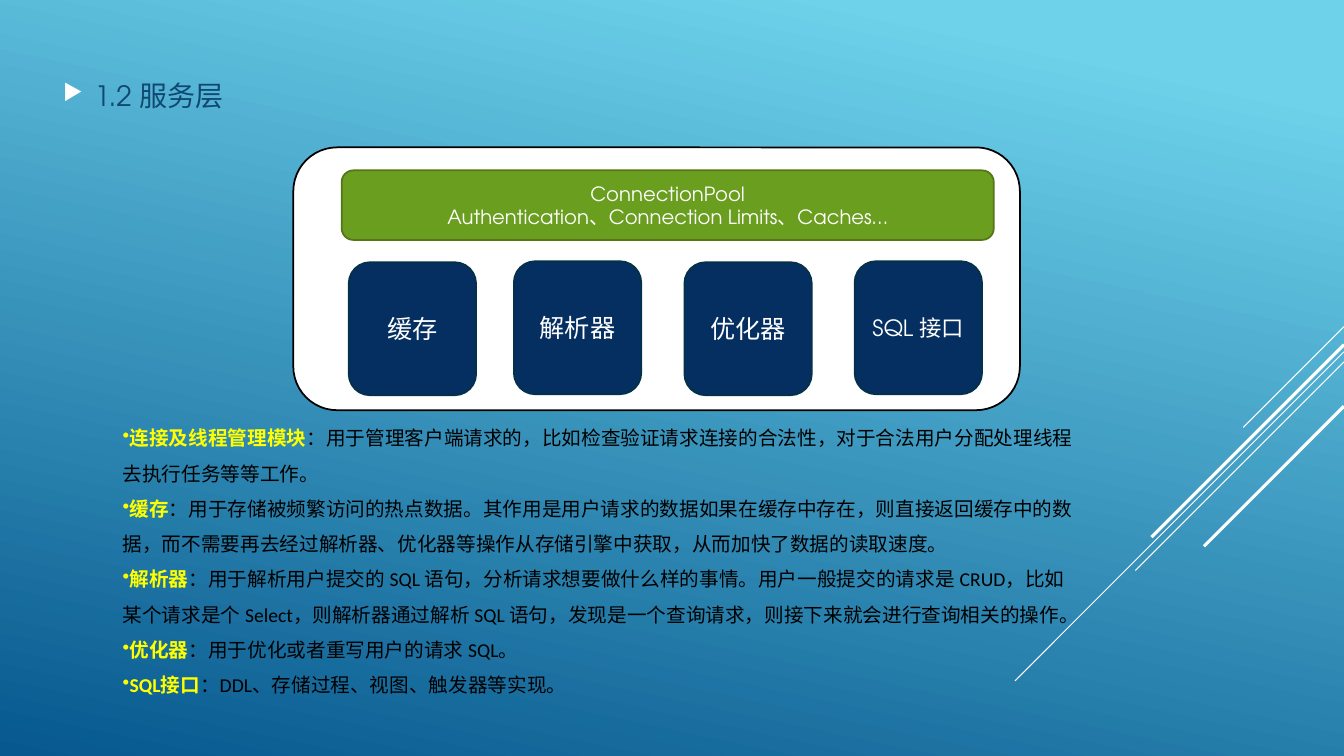
from lxml.etree import SubElement
from pptx import Presentation
from pptx.dml.color import RGBColor
from pptx.enum.shapes import MSO_CONNECTOR, MSO_SHAPE
from pptx.enum.text import MSO_ANCHOR, PP_ALIGN
from pptx.oxml.ns import qn
from pptx.util import Pt

SKY = RGBColor(0x6E, 0xD2, 0xEB)
OCEAN = RGBColor(0x06, 0x58, 0x8E)
WHITE = RGBColor(0xFF, 0xFF, 0xFF)
BLACK = RGBColor(0, 0, 0)
YELLOW = RGBColor(0xFF, 0xFF, 0)
TITLE_BLUE = RGBColor(0x0F, 0x49, 0x6F)
GREEN = RGBColor(0x6A, 0x9E, 0x1F)
GREEN_EDGE = RGBColor(0x56, 0x75, 0x17)
NAVY = RGBColor(0x05, 0x2F, 0x61)
NAVY_EDGE = RGBColor(0x04, 0x31, 0x48)
HEADING_FONT, BODY_FONT = "TeX Gyre Adventor", "Calibri"

# Left offset, top offset, label and text size of each module in the panel
MODULES = [
    (39.6, 82, "缓存", 18),
    (157.6, 81.3, "解析器", 18),
    (279.4, 82, "优化器", 18),
    (401, 81.3, "SQL 接口", 16),
]
EXPLANATIONS = [
    ("连接及线程管理模块", "：用于管理客户端请求的，比如检查验证请求连接的合法性，"
     "对于合法用户分配处理线程去执行任务等等工作。"),
    ("缓存", "：用于存储被频繁访问的热点数据。其作用是用户请求的数据如果在缓存中存在，"
     "则直接返回缓存中的数据，而不需要再去经过解析器、优化器等操作从存储引擎中获取，"
     "从而加快了数据的读取速度。"),
    ("解析器", "：用于解析用户提交的 SQL 语句，分析请求想要做什么样的事情。"
     "用户一般提交的请求是 CRUD，比如某个请求是个 Select，则解析器通过解析 SQL 语句，"
     "发现是一个查询请求，则接下来就会进行查询相关的操作。"),
    ("优化器", "：用于优化或者重写用户的请求 SQL。"),
    ("SQL接口", "：DDL、存储过程、视图、触发器等实现。"),
]
# Start height on the right edge, run to the lower left, line width
STREAKS = [(233.3, 72, 0.75), (251.3, 235, 0.75), (258.5, 149, 0.75),
           (246.2, 137.5, 2.25), (290.2, 100, 2.25)]


def add_run(paragraph, text, size, color, font=HEADING_FONT, bold=False):
    run = paragraph.add_run()
    run.text = text
    run.font.size = Pt(size)
    run.font.name = font
    run.font.bold = bold
    run.font.color.rgb = color


def add_bullet(paragraph, char, indent=0, color=None, percent=100):
    properties = paragraph._p.get_or_add_pPr()
    properties.set("marL", str(Pt(indent)))
    properties.set("indent", str(-Pt(indent)))
    if color is not None:
        SubElement(SubElement(properties, qn("a:buClr")),
                   qn("a:srgbClr")).set("val", str(color))
    SubElement(properties, qn("a:buSzPct")).set("val", str(percent * 1000))
    SubElement(properties, qn("a:buChar")).set("char", char)


def add_text_frame(slide, left, top, width, height):
    frame = slide.shapes.add_textbox(Pt(left), Pt(top), Pt(width), Pt(height)).text_frame
    frame.word_wrap = True
    return frame


def add_block(slide, left, top, width, height, fill, edge, lines=(), size=14):
    block = slide.shapes.add_shape(MSO_SHAPE.ROUNDED_RECTANGLE,
                                   Pt(left), Pt(top), Pt(width), Pt(height))
    block.shadow.inherit = False
    block.fill.solid()
    block.fill.fore_color.rgb = fill
    block.line.color.rgb = edge
    block.line.width = Pt(1.25)
    frame = block.text_frame
    frame.vertical_anchor = MSO_ANCHOR.MIDDLE
    for number, line in enumerate(lines):
        paragraph = frame.add_paragraph() if number else frame.paragraphs[0]
        paragraph.alignment = PP_ALIGN.CENTER
        add_run(paragraph, line, size, WHITE)


def draw_backdrop(slide, right):
    fill = slide.background.fill
    fill.gradient()
    fill.gradient_angle = 258
    for stop, position, color in zip(fill.gradient_stops, (0.1, 1), (SKY, OCEAN)):
        stop.position = position
        stop.color.rgb = color
    # Diagonal streaks, all at 45 degrees
    for top, run, weight in STREAKS:
        streak = slide.shapes.add_connector(MSO_CONNECTOR.STRAIGHT, Pt(right), Pt(top),
                                            Pt(right - run), Pt(top + run))
        streak.line.color.rgb = WHITE
        streak.line.width = Pt(weight)
        SubElement(streak._element.spPr, qn("a:effectLst"))


def draw_title(slide, left, top, width, height):
    frame = add_text_frame(slide, left, top, width, height)
    frame.vertical_anchor = MSO_ANCHOR.MIDDLE
    title = frame.paragraphs[0]
    title.space_before, title.space_after = Pt(4), Pt(6)
    add_bullet(title, "▶", indent=22.5, color=WHITE, percent=80)
    add_run(title, "1.2 服务层", 20, TITLE_BLUE)


def draw_service_panel(slide, left, top, width, height):
    add_block(slide, left, top, width, height, WHITE, BLACK)
    # Connection pool across the top
    add_block(slide, left + 34.6, top + 16.4, width - 53.2, 49.7, GREEN, GREEN_EDGE,
              ["ConnectionPool", "Authentication、Connection Limits、Caches…"])
    # Row of modules
    for across, down, label, size in MODULES:
        add_block(slide, left + across, top + down, 91, 95, NAVY, NAVY_EDGE, [label], size)


def draw_explanations(slide, left, top, width, height):
    frame = add_text_frame(slide, left, top, width, height)
    for number, (term, meaning) in enumerate(EXPLANATIONS):
        paragraph = frame.add_paragraph() if number else frame.paragraphs[0]
        paragraph.line_spacing = 1.5
        add_bullet(paragraph, "•")
        add_run(paragraph, term, 14, YELLOW, font=BODY_FONT, bold=True)
        add_run(paragraph, meaning, 14, BLACK, font=BODY_FONT)


def main():
    presentation = Presentation()
    presentation.slide_width, presentation.slide_height = Pt(960), Pt(540)
    slide = presentation.slides.add_slide(presentation.slide_layouts[6])
    draw_backdrop(slide, 960)
    draw_title(slide, 38, 38, 672, 60.5)
    draw_service_panel(slide, 209.5, 105.3, 519, 187.7)
    draw_explanations(slide, 80.6, 292.5, 700.6, 207.4)
    presentation.save("out.pptx")


if __name__ == "__main__":
    main()
